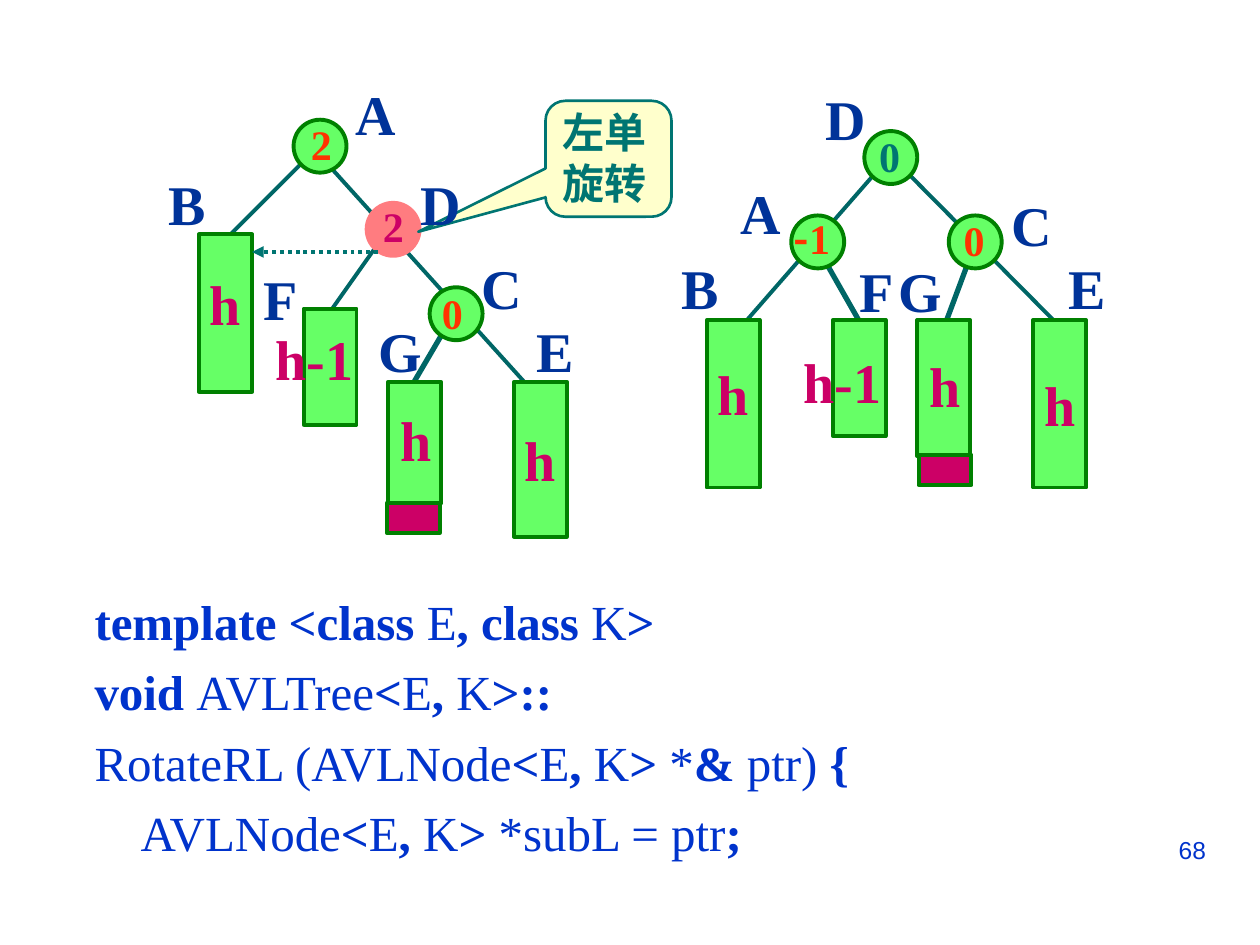
import pptx
import pptx.util
import pptx.dml.color
import pptx.enum.dml
import pptx.enum.shapes
import pptx.enum.text
import pptx.oxml
import pptx.oxml.ns

Inches = pptx.util.Inches
SHAPE = pptx.enum.shapes.MSO_SHAPE
ALIGN = pptx.enum.text.PP_ALIGN
SERIF, CJK = "Times New Roman", "Noto Sans CJK SC"
GREEN, DARK_GREEN = "66FF66", "008000"
TEAL, EDGE_TEAL = "007572", "006666"
MAGENTA, RED, NAVY, BLUE = "CC0066", "FF3300", "003399", "0033CC"
SIZE = 0.42  # node diameter and subtree width
LABEL_WIDTH = {"A": 0.52, "B": 0.49, "C": 0.52, "D": 0.52,
               "E": 0.49, "F": 0.47, "G": 0.54}

# Code lines as alternating bold and regular pieces, bold first
CODE = [
    ["template <class ", "E", ", class ", "K", ">"],
    ["void ", "AVLTree", "<", "E", ", ", "K", ">::"],
    ["", "RotateRL (AVLNode", "<", "E", ", ", "K", "> ", "*", "& ", "ptr)", " {"],
    ["", "    AVLNode", "<", "E", ", ", "K", "> ", "*subL = ptr", ";"],
]

# Edges: x1, y1, x2, y2, width; subtrees: left, top, height, text, line spacing
# Nodes: left, top, fill, outline
BEFORE = {
    "edges": [(3.58, 2.53, 3.24, 3.11, 3), (2.41, 1.28, 1.66, 2.03, 2.25),
              (2.58, 1.28, 4.16, 3.03, 2.25), (2.99, 1.95, 2.58, 2.53, 2.25)],
    "subtrees": [(4.08, 3.03, 1.23, "h", 1), (1.58, 1.86, 1.25, "h", 0.6),
                 (3.08, 3.03, 0.97, "", 1), (2.41, 2.45, 0.92, "", 1)],
    "nodes": [(2.91, 1.61, "FF7C80", "FF7C80"), (2.33, 0.95, GREEN, DARK_GREEN),
              (3.41, 2.28, GREEN, DARK_GREEN)],
    "new_leaf": (3.07, 3.99),
    "heights": [("h-1", 2.09, 2.53, 0.82), ("h", 3.08, 3.17, 0.45)],
    "labels": [("A", 2.72, 0.58), ("C", 3.72, 1.96), ("E", 4.16, 2.46),
               ("B", 1.24, 1.3), ("F", 1.99, 2.05), ("G", 2.91, 2.46),
               ("D", 3.24, 1.3)],
    "balances": [("0", 3.41, 2.23, RED), ("2", 2.37, 0.89, RED),
                 ("2", 2.94, 1.54, MAGENTA)],
}
AFTER = {
    "edges": [(7.7, 2.04, 7.45, 2.71, 3), (7.2, 1.37, 8.36, 2.54, 2.25),
              (6.95, 1.37, 5.78, 2.71, 2.25), (6.53, 2.04, 6.86, 2.62, 3)],
    "subtrees": [(8.2, 2.54, 1.33, "h", 1), (5.61, 2.54, 1.33, "h", 0.6),
                 (7.28, 2.54, 1.08, "", 1), (6.61, 2.54, 0.92, "", 1)],
    "nodes": [(6.28, 1.71, GREEN, DARK_GREEN), (6.86, 1.04, GREEN, DARK_GREEN),
              (7.53, 1.71, GREEN, DARK_GREEN)],
    "new_leaf": (7.29, 3.61),
    "heights": [("h-1", 6.28, 2.71, 0.82), ("h", 7.28, 2.74, 0.45)],
    "labels": [("A", 5.78, 1.37), ("C", 7.93, 1.46), ("E", 8.38, 1.96),
               ("D", 6.45, 0.62), ("B", 5.31, 1.96), ("F", 6.72, 1.99),
               ("G", 7.03, 1.99)],
    "balances": [("0", 7.55, 1.65, RED), ("0", 6.88, 0.99, TEAL)],
}


def rgb(color):
    return pptx.dml.color.RGBColor.from_string(color)


def add_xml(parent, tag, **attributes):
    child = pptx.oxml.parse_xml(f"<a:{tag} {pptx.oxml.ns.nsdecls('a')}/>")
    for key, value in attributes.items():
        child.set(key, value)
    parent.append(child)


def add_run(paragraph, text, size, color, bold=True, font=SERIF):
    run = paragraph.add_run()
    run.text = text
    run.font.size = pptx.util.Pt(size)
    run.font.bold = bold
    run.font.color.rgb = rgb(color)
    run.font.name = font
    add_xml(run.font._element, "ea", typeface=CJK)


def add_text(slide, left, top, width, height, wrap=False):
    box = slide.shapes.add_textbox(Inches(left), Inches(top), Inches(width), Inches(height))
    box.text_frame.word_wrap = wrap
    return box.text_frame


def add_outlined(slide, kind, left, top, width, height, fill, outline, weight=2.25):
    shape = slide.shapes.add_shape(kind, Inches(left), Inches(top), Inches(width), Inches(height))
    shape.shadow.inherit = False
    shape.fill.solid()
    shape.fill.fore_color.rgb = rgb(fill)
    shape.line.color.rgb = rgb(outline)
    shape.line.width = pptx.util.Pt(weight)
    return shape


def add_edge(slide, x1, y1, x2, y2, weight):
    edge = slide.shapes.add_connector(pptx.enum.shapes.MSO_CONNECTOR.STRAIGHT,
                                      Inches(x1), Inches(y1), Inches(x2), Inches(y2))
    edge.line.color.rgb = rgb(EDGE_TEAL)
    edge.line.width = pptx.util.Pt(weight)
    add_xml(edge._element.spPr, "effectLst")


def add_subtree(slide, left, top, height, text, spacing):
    subtree = add_outlined(slide, SHAPE.RECTANGLE, left, top, SIZE, height, GREEN, DARK_GREEN)
    if text:
        frame = subtree.text_frame
        frame.word_wrap = False
        frame.vertical_anchor = pptx.enum.text.MSO_ANCHOR.MIDDLE
        paragraph = frame.paragraphs[0]
        paragraph.alignment = ALIGN.CENTER
        paragraph.line_spacing = spacing
        add_run(paragraph, text, 32, MAGENTA)


def add_tree(slide, tree):
    for edge in tree["edges"]:
        add_edge(slide, *edge)
    for subtree in tree["subtrees"]:
        add_subtree(slide, *subtree)
    for left, top, fill, outline in tree["nodes"]:
        add_outlined(slide, SHAPE.OVAL, left, top, SIZE, SIZE, fill, outline)
    add_outlined(slide, SHAPE.RECTANGLE, *tree["new_leaf"], SIZE, 0.24, MAGENTA, DARK_GREEN)
    for text, left, top, width in tree["heights"]:
        add_run(add_text(slide, left, top, width, 0.64).paragraphs[0], text, 32, MAGENTA)


def add_tree_labels(slide, tree):
    for name, left, top in tree["labels"]:
        label = add_text(slide, left, top, LABEL_WIDTH[name], 0.64)
        add_run(label.paragraphs[0], name, 32, NAVY)
    for value, left, top, color in tree["balances"]:
        add_run(add_text(slide, left, top, 0.36, 0.5).paragraphs[0], value, 24, color)


def add_callout(slide):
    callout = add_outlined(slide, SHAPE.ROUNDED_RECTANGULAR_CALLOUT,
                           4.33, 0.8, 1, 0.92, "FFFFCC", TEAL, 1.5)
    for index, value in enumerate((-1.51, 0.63, 0.17)):
        callout.adjustments[index] = value
    frame = add_text(slide, 4.37, 0.8, 1, 0.9, wrap=True)
    add_run(frame.paragraphs[0], "左单", 24, TEAL)
    add_run(frame.add_paragraph(), "旋转", 24, TEAL)


def bezier(points, t):
    weights = ((1 - t) ** 3, 3 * t * (1 - t) ** 2, 3 * t * t * (1 - t), t ** 3)
    return tuple(sum(w * p[axis] for w, p in zip(weights, points)) for axis in (0, 1))


def add_rotation_arrow(slide):
    controls = [(2.72, 1.66), (2.7, 1.62), (2.68, 1.59), (2.64, 1.56), (2.61, 1.54),
                (2.56, 1.53), (2.52, 1.53), (2.48, 1.53), (2.43, 1.53), (2.39, 1.55),
                (2.35, 1.57), (2.3, 1.63), (2.28, 1.64)]
    steps = 5
    curve = [bezier(controls[start:start + 4], step / steps)
             for start in range(0, len(controls) - 1, 3) for step in range(1, steps + 1)]
    builder = slide.shapes.build_freeform(*controls[0], scale=float(Inches(1)))
    builder.add_line_segments(curve, close=False)
    arrow = builder.convert_to_shape()
    arrow.shadow.inherit = False
    arrow.fill.background()
    arrow.line.color.rgb = rgb(TEAL)
    arrow.line.width = pptx.util.Pt(2.25)
    arrow.line.dash_style = pptx.enum.dml.MSO_LINE.ROUND_DOT
    add_xml(arrow.line._get_or_add_ln(), "tailEnd", type="triangle")


def fill_code(body):
    body.left, body.top, body.width, body.height = map(Inches, (0.65, 4.62, 9, 2.48))
    frame = body.text_frame
    frame.auto_size = pptx.enum.text.MSO_AUTO_SIZE.NONE
    for number, pieces in enumerate(CODE):
        paragraph = frame.add_paragraph() if number else frame.paragraphs[0]
        properties = paragraph._p.get_or_add_pPr()
        properties.set("marL", str(Inches(0.38)))
        properties.set("indent", str(-Inches(0.38)))
        add_xml(properties, "buNone")
        paragraph.line_spacing = 1.05
        paragraph.space_before = pptx.util.Pt(5 if number else 0)
        for index, piece in enumerate(pieces):
            if piece:
                add_run(paragraph, piece, 28, BLUE, bold=index % 2 == 0)


def main():
    deck = pptx.Presentation()
    deck.slide_width, deck.slide_height = Inches(10), Inches(7.5)
    slide = deck.slides.add_slide(deck.slide_layouts[1])
    unused_title = slide.shapes.title._element
    unused_title.getparent().remove(unused_title)

    # Trees before and after the rotation
    add_tree(slide, AFTER)
    add_tree_labels(slide, AFTER)
    minus_one = add_text(slide, 6.2, 1.64, 0.56, 0.5).paragraphs[0]
    add_run(minus_one, "-", 24, RED, font=CJK)
    add_run(minus_one, "1", 24, RED)
    add_tree(slide, BEFORE)
    add_callout(slide)
    add_tree_labels(slide, BEFORE)
    add_rotation_arrow(slide)

    # Code and page number
    fill_code(slide.placeholders[1])
    page_number = add_text(slide, 7.17, 6.58, 2.5, 0.52, wrap=True).paragraphs[0]
    page_number.alignment = ALIGN.RIGHT
    add_run(page_number, "68", 14, BLUE, bold=False, font="Arial")

    deck.save("out.pptx")


if __name__ == "__main__":
    main()
